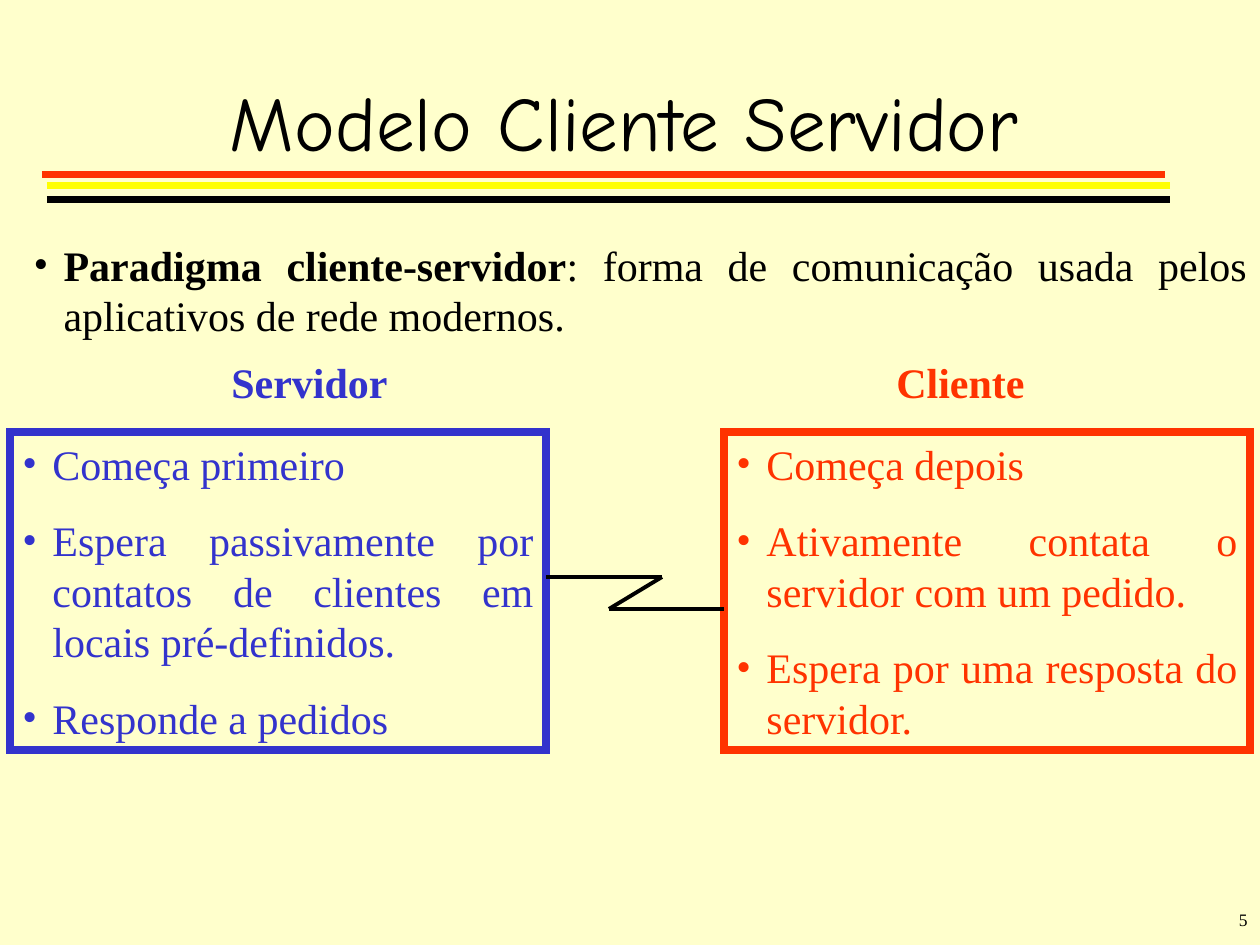
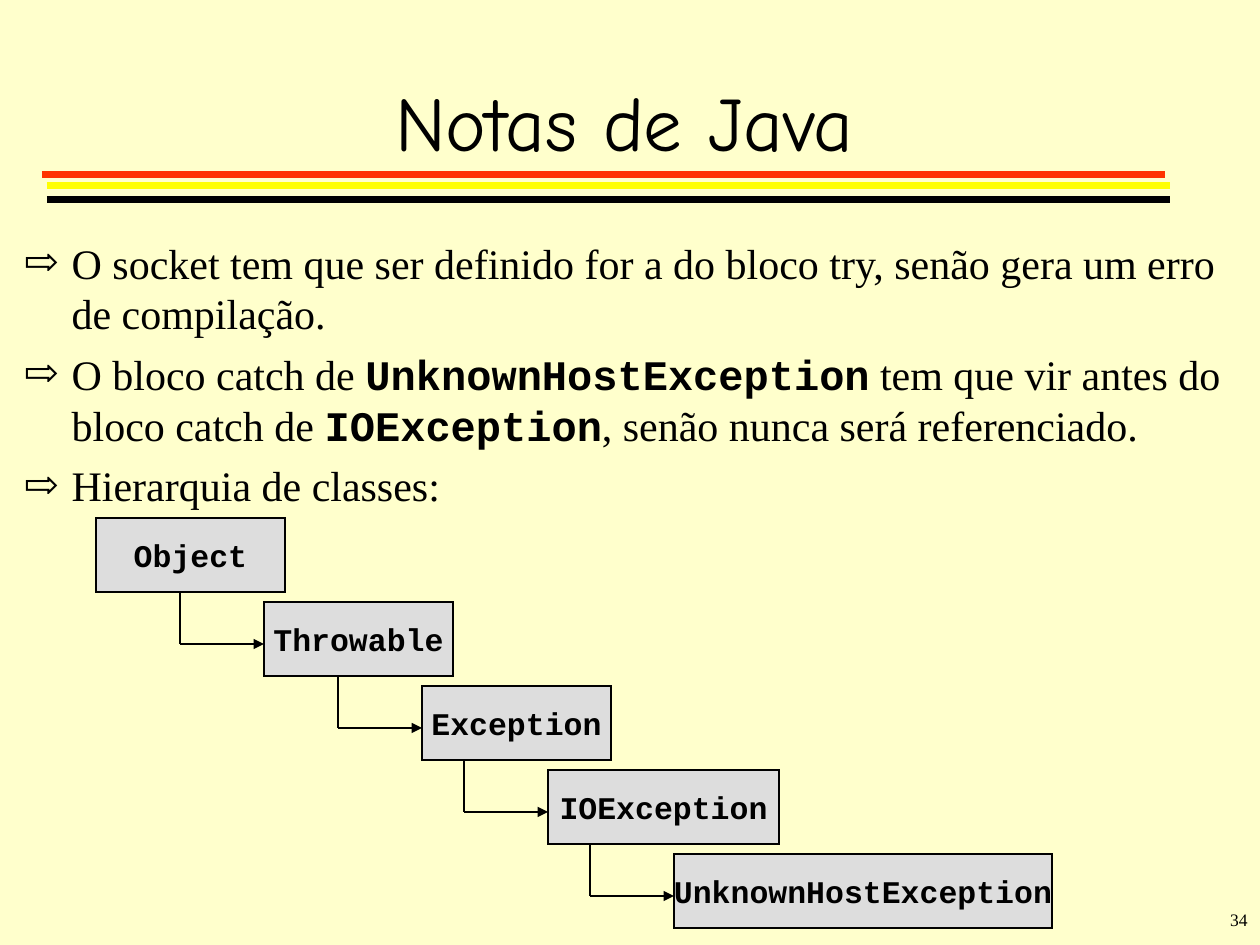
from dataclasses import dataclass
from lxml.etree import SubElement
from pptx import Presentation
from pptx.dml.color import RGBColor
from pptx.enum.shapes import MSO_CONNECTOR as Connector, MSO_SHAPE as Preset
from pptx.enum.text import MSO_ANCHOR as Anchor, MSO_AUTO_SIZE as AutoSize, PP_ALIGN as Align
from pptx.oxml.ns import qn
from pptx.util import Pt


@dataclass(frozen=True)
class Theme:
    paper: str = "FFFFCC"
    ink: str = "000000"
    server: str = "3333CC"
    client: str = "FF3300"
    yellow: str = "FFFF00"
    class_fill: str = "DDDDDD"
    title_font: str = "Comic Neue"
    text_font: str = "Times New Roman"
    code_font: str = "Courier New"
    title_size: int = 44
    text_size: int = 24
    class_size: int = 18
    number_size: int = 10
    leading: float = 1.0


THEME = Theme()
EMU_PER_PX = 914400 / 126

BANDS = [(42, 175, THEME.client), (47, 186, THEME.yellow), (47, 200, THEME.ink)]
BAND_LENGTH = 1123

MODEL = {
    "title": "Modelo Cliente Servidor",
    "number": "5",
    "intro": [[
        ("Paradigma cliente-servidor", "bold"),
        (": forma de comunicação usada pelos aplicativos de rede modernos.", "plain"),
    ]],
    "roles": [
        ("Servidor", THEME.server, 199, (10, 432, 536, 318), [
            "Começa primeiro",
            "Espera passivamente por contatos de clientes em locais pré-definidos.",
            "Responde a pedidos",
        ]),
        ("Cliente", THEME.client, 850, (724, 432, 526, 318), [
            "Começa depois",
            "Ativamente contata o servidor com um pedido.",
            "Espera por uma resposta do servidor.",
        ]),
    ],
    "link": [(546, 577), (662, 577), (609, 609), (724, 609)],
}

JAVA = {
    "title": "Notas de Java",
    "number": "34",
    "notes": [
        [("O socket tem que ser definido for a do bloco try, senão gera um erro de compilação.", "plain")],
        [
            ("O bloco catch de ", "plain"),
            ("UnknownHostException", "code"),
            (" tem que vir antes do bloco catch de ", "plain"),
            ("IOException", "code"),
            (", senão nunca será referenciado.", "plain"),
        ],
        [("Hierarquia de classes:", "plain")],
    ],
    "classes": [
        ("Object", 96, 189),
        ("Throwable", 264, 189),
        ("Exception", 422, 189),
        ("IOException", 548, 231),
        ("UnknownHostException", 674, 378),
    ],
}
CLASS_TOP, CLASS_STEP, CLASS_HEIGHT = 518, 84, 74


def px(length):
    return round(length * EMU_PER_PX)


def box(*lengths):
    return [px(length) for length in lengths]


def rgb(color):
    return RGBColor.from_string(color)


def style(run, size, color=THEME.ink, font=THEME.text_font, bold=False):
    run.font.size = Pt(size)
    run.font.name = font
    run.font.bold = bold
    run.font.color.rgb = rgb(color)


def place(shape, *bounds):
    shape.left, shape.top, shape.width, shape.height = box(*bounds)


def draw_line(slide, start, end, color=THEME.ink, width=1, arrow=False):
    line = slide.shapes.add_connector(Connector.STRAIGHT, *box(*start, *end))
    line.line.color.rgb = rgb(color)
    line.line.width = Pt(width)
    if arrow:
        SubElement(line.line._get_or_add_ln(), qn("a:tailEnd"), type="triangle")
    SubElement(line.element.spPr, qn("a:effectLst"))
    return line


def draw_box(slide, bounds, outline, width, fill=None):
    rect = slide.shapes.add_shape(Preset.RECTANGLE, *box(*bounds))
    rect.shadow.inherit = False
    if fill:
        rect.fill.solid()
        rect.fill.fore_color.rgb = rgb(fill)
    else:
        rect.fill.background()
    rect.line.color.rgb = rgb(outline)
    rect.line.width = Pt(width)
    SubElement(rect.line._get_or_add_ln(), qn("a:miter"), lim="800000")
    return rect


def write_list(frame, items, bullet, indent, gap, color=THEME.ink, align=Align.LEFT):
    frame.word_wrap = True
    frame.auto_size = AutoSize.NONE
    frame.vertical_anchor = Anchor.TOP
    for index, item in enumerate(items):
        paragraph = frame.add_paragraph() if index else frame.paragraphs[0]
        props = paragraph._p.get_or_add_pPr()
        props.set("marL", str(px(indent)))
        props.set("indent", str(-px(indent)))
        SubElement(SubElement(props, qn("a:buClr")), qn("a:srgbClr"), val=color)
        SubElement(props, qn("a:buFont"), typeface=THEME.text_font)
        SubElement(props, qn("a:buChar"), char=bullet)
        paragraph.alignment = align
        paragraph.line_spacing = THEME.leading
        paragraph.space_before = Pt(gap if index else 0)
        for words, kind in item:
            run = paragraph.add_run()
            run.text = words
            font = THEME.code_font if kind == "code" else THEME.text_font
            style(run, THEME.text_size, color, font, kind != "plain")


def write_label(slide, bounds, words, size, color, align, bold=False):
    frame = slide.shapes.add_textbox(*box(*bounds)).text_frame
    frame.word_wrap = True
    frame.text = words
    paragraph = frame.paragraphs[0]
    paragraph.alignment = align
    paragraph.line_spacing = THEME.leading
    style(paragraph.runs[0], size, color, bold=bold)


def start_slide(prs, content):
    slide = prs.slides.add_slide(prs.slide_layouts[1])
    title = slide.shapes.title
    place(title, 21, 42, 1207, 158)
    frame = title.text_frame
    frame.text = content["title"]
    frame.auto_size = AutoSize.NONE
    frame.vertical_anchor = Anchor.MIDDLE
    frame.paragraphs[0].alignment = Align.CENTER
    style(frame.paragraphs[0].runs[0], THEME.title_size, font=THEME.title_font)
    write_label(slide, (998, 903, 262, 63), content["number"], THEME.number_size, THEME.ink, Align.RIGHT)
    return slide


def dress_master(master, slide):
    master.background.fill.solid()
    master.background.fill.fore_color.rgb = rgb(THEME.paper)
    for index, (left, y, color) in enumerate(BANDS):
        band = draw_line(slide, (left, y), (left + BAND_LENGTH, y), color, 4)
        band.element.nvCxnSpPr.cNvPr.set("id", str(100 + index))
        master.shapes.element.append(band.element)


def build_model(slide):
    intro = slide.placeholders[1]
    place(intro, 21, 233, 1239, 113)
    write_list(intro.text_frame, MODEL["intro"], "•", 30, 15, align=Align.JUSTIFY)
    for role, color, label_left, bounds, duties in MODEL["roles"]:
        write_label(slide, (label_left, 350, 221, 63), role, THEME.text_size, color, Align.CENTER, True)
        frame = draw_box(slide, bounds, color, 5).text_frame
        items = [[(duty, "plain")] for duty in duties]
        write_list(frame, items, "•", 30, 15, color, Align.JUSTIFY)
    for start, end in zip(MODEL["link"], MODEL["link"][1:]):
        draw_line(slide, start, end, width=2.25)


def build_java(slide):
    notes = slide.placeholders[1]
    place(notes, 11, 231, 1239, 606)
    write_list(notes.text_frame, JAVA["notes"], "⇨", 48, 6)
    for level, (name, left, width) in enumerate(JAVA["classes"]):
        top = CLASS_TOP + level * CLASS_STEP
        rect = draw_box(slide, (left, top, width, CLASS_HEIGHT), THEME.ink, 1, THEME.class_fill)
        frame = rect.text_frame
        frame.word_wrap = False
        frame.vertical_anchor = Anchor.MIDDLE
        frame.text = name
        frame.paragraphs[0].alignment = Align.CENTER
        style(frame.paragraphs[0].runs[0], THEME.class_size, font=THEME.code_font, bold=True)
        if level:
            corner = (left - CLASS_STEP, top + CLASS_STEP // 2)
            draw_line(slide, (corner[0], top - CLASS_STEP + CLASS_HEIGHT), corner)
            draw_line(slide, corner, (left, corner[1]), arrow=True)


def main():
    prs = Presentation()
    prs.slide_width, prs.slide_height = box(1260, 945)
    model = start_slide(prs, MODEL)
    dress_master(prs.slide_master, model)
    build_model(model)
    build_java(start_slide(prs, JAVA))
    prs.save("out.pptx")


if __name__ == "__main__":
    main()
